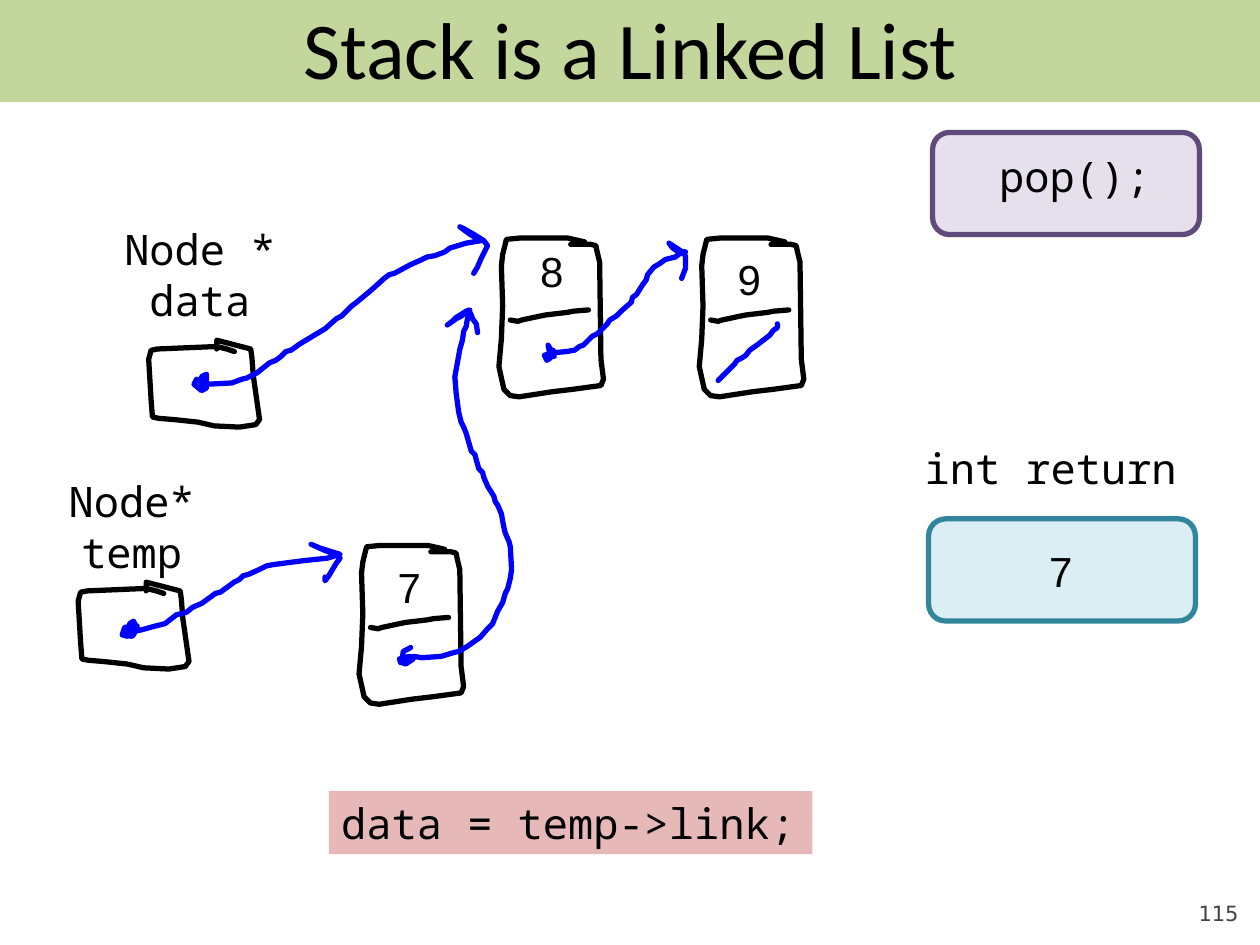
from pptx import Presentation
from pptx import util as u
from pptx.dml.color import RGBColor
from pptx.enum import shapes, text
from lxml import etree

COLOURS = {
    "ink": "000000", "pointer": "0000FF", "number": "424242", "band": "C3D69B",
    "call": "E6E0EC", "call_edge": "604A7B", "result": "DBEEF4",
    "result_edge": "31859C", "code": "E6B9B8",
}
MONO, SANS = "Noto Sans Mono", "Arial"
UNIT = u.Cm(2.54) / 100  # one pen step: strokes are given in these

# Strokes that repeat, measured from the top left corner of their figure
POINTER_BOX = [
    (68, 9), (62, 7), (54, 5), (7, 7), (2, 8), (0, 15), (2, 48), (3, 61), (8, 62),
    (20, 63), (39, 65), (52, 68), (72, 69), (85, 67), (88, 63), (83, 28), (82, 14),
    (81, 7), (54, 0), (54, 7)]
NODE = [
    (68, 3), (55, 0), (16, 0), (6, 1), (3, 13), (2, 22), (3, 54), (2, 80), (0, 102),
    (4, 120), (9, 125), (16, 126), (42, 122), (59, 120), (81, 117), (83, 112),
    (81, 96), (80, 19), (78, 11), (77, 6), (73, 5), (57, 5)]
DIVIDER = [
    (9, 65), (15, 66), (18, 65), (32, 62), (37, 61), (54, 59), (59, 58), (71, 57)]

# Strokes that occur once, measured from the slide corner
NULL_MARK = [
    (570, 302), (579, 293), (583, 289), (585, 286), (589, 284), (592, 282),
    (595, 278), (602, 273), (611, 266), (614, 262), (617, 260), (617, 257)]
EIGHT_TO_NINE = [
    (439, 280), (432, 282), (434, 286), (437, 284), (439, 278), (436, 282), (440, 283),
    (435, 274), (436, 279), (440, 280), (450, 279), (456, 278), (460, 275), (463, 274),
    (470, 267), (474, 265), (482, 257), (484, 254), (489, 251), (493, 247), (501, 240),
    (502, 236), (505, 234), (510, 226), (513, 222), (514, 218), (519, 212), (524, 209),
    (528, 206), (536, 204), (540, 201), (544, 200), (537, 199), (534, 197), (531, 193),
    (540, 199), (544, 203), (544, 213), (541, 221)]
SEVEN_TO_EIGHT = [
    (326, 514), (320, 517), (319, 526), (322, 527), (328, 523), (325, 521), (317, 523),
    (318, 526), (322, 525), (328, 521), (335, 522), (350, 521), (360, 518), (364, 517),
    (371, 513), (378, 508), (381, 506), (387, 499), (391, 495), (395, 485), (399, 478),
    (401, 471), (403, 467), (405, 459), (406, 452), (405, 434), (404, 430), (401, 423),
    (400, 419), (399, 414), (398, 408), (395, 401), (393, 398), (392, 394), (387, 386),
    (384, 379), (383, 375), (380, 372), (378, 365), (377, 361), (374, 358), (372, 351),
    (370, 344), (368, 339), (366, 335), (364, 327), (362, 312), (361, 299), (365, 277),
    (367, 270), (368, 263), (370, 259), (371, 253), (373, 246), (370, 247), (362, 252),
    (359, 255), (355, 258), (362, 253), (366, 251), (372, 246), (374, 250), (375, 253),
    (378, 257), (379, 264)]
TEMP_TO_SEVEN = [
    (105, 497), (99, 498), (97, 504), (105, 505), (109, 499), (106, 493), (103, 495),
    (100, 505), (106, 504), (109, 497), (105, 495), (103, 502), (112, 500), (123, 497),
    (131, 495), (140, 488), (148, 486), (153, 482), (160, 479), (167, 474), (171, 471),
    (175, 470), (186, 462), (190, 460), (193, 457), (197, 456), (206, 452), (212, 449),
    (218, 448), (241, 445), (260, 443), (270, 440), (254, 435), (247, 432), (258, 437),
    (266, 440), (270, 443), (267, 447), (261, 457), (258, 461), (258, 458)]
DATA_TO_EIGHT = [
    (162, 305), (156, 301), (154, 305), (160, 310), (164, 308), (164, 297), (160, 299),
    (160, 306), (164, 305), (184, 304), (192, 301), (196, 300), (204, 296), (214, 288),
    (219, 286), (223, 283), (227, 279), (231, 278), (238, 273), (248, 267), (258, 261),
    (267, 253), (271, 251), (279, 243), (283, 240), (295, 230), (305, 221), (309, 218),
    (313, 217), (326, 210), (335, 206), (339, 204), (345, 203), (353, 200), (357, 197),
    (370, 193), (382, 191), (373, 186), (365, 180), (369, 182), (376, 186), (384, 191),
    (387, 195), (382, 205), (379, 212), (376, 217)]


def colour(name):
    return RGBColor.from_string(COLOURS[name])


class StackSlide:
    def __init__(self, presentation):
        self.slide = presentation.slides.add_slide(presentation.slide_layouts[5])
        self.shapes = self.slide.shapes

    def add_lines(self, frame, lines, size, font, ink="ink", align="CENTER"):
        for index, line in enumerate(lines):
            paragraph = frame.add_paragraph() if index else frame.paragraphs[0]
            paragraph.alignment = getattr(text.PP_ALIGN, align)
            run = paragraph.add_run()
            run.text = line
            run.font.size, run.font.name = u.Pt(size), font
            run.font.color.rgb = colour(ink)

    def title(self, line):
        title = self.shapes.title
        title.left, title.top = u.Cm(1.27), u.Cm(0)
        title.width, title.height = u.Cm(22.86), u.Cm(1.9)
        title.text_frame.vertical_anchor = text.MSO_ANCHOR.MIDDLE
        self.add_lines(title.text_frame, [line], 46, "Calibri")
        band = self.box(0, 0, 25.4, 2.06, "band")
        band.adjustments[0] = 0
        title.element.addprevious(band.element)

    def box(self, left, top, width, height, fill, edge=None):
        box = self.shapes.add_shape(
            shapes.MSO_SHAPE.ROUNDED_RECTANGLE, *map(u.Cm, (left, top, width, height)))
        box.shadow.inherit = False
        box.fill.solid()
        box.fill.fore_color.rgb = colour(fill)
        if edge:
            box.line.color.rgb = colour(edge)
            box.line.width = u.Pt(3)
        else:
            box.line.fill.background()
        return box

    def label(self, left, top, width, height, *lines, font=MONO, align="CENTER", fill=None):
        label = self.shapes.add_textbox(*map(u.Cm, (left, top, width, height)))
        label.text_frame.word_wrap = False
        if fill:
            label.fill.solid()
            label.fill.fore_color.rgb = colour(fill)
        self.add_lines(label.text_frame, lines, 24, font, align=align)

    def digit(self, left, top, value):
        self.label(left, top, 0.99, 1.27, value, font=SANS, align="RIGHT")

    def stroke(self, points, ink="pointer", origin=(0, 0)):
        """Draw an open pen line with round ends and joins."""
        builder = self.shapes.build_freeform(*points[0], scale=UNIT)
        builder.add_line_segments(points[1:], close=False)
        stroke = builder.convert_to_shape(*(round(n * UNIT) for n in origin))
        stroke.shadow.inherit = False
        stroke.fill.background()
        stroke.line.color.rgb = colour(ink)
        stroke.line.width = u.Pt(3)
        line = stroke.element.spPr.get_or_add_ln()
        line.set("cap", "rnd")
        etree.SubElement(line, line.tag.replace("}ln", "}round"))

    def node(self, *origin):
        for part in (NODE, DIVIDER):
            self.stroke(part, "ink", origin)

    def page_number(self, number):
        box = self.shapes.add_textbox(*map(u.Cm, (22.86, 17.65, 2.11, 1.02)))
        frame = box.text_frame
        frame.word_wrap = True
        frame.vertical_anchor = text.MSO_ANCHOR.BOTTOM
        frame.margin_left = frame.margin_right = frame.margin_top = frame.margin_bottom = 0
        self.add_lines(frame, [number], 12, "DejaVu Sans", "number", "RIGHT")


def main():
    presentation = Presentation()
    presentation.slide_width, presentation.slide_height = u.Cm(25.4), u.Cm(19.05)
    stack = StackSlide(presentation)
    stack.title("Stack is a Linked List")
    stack.page_number("115")

    for origin in ((118, 270), (62, 462)):
        stack.stroke(POINTER_BOX, "ink", origin)
    for origin in ((396, 189), (555, 189), (285, 433)):
        stack.node(*origin)
    stack.label(2.24, 4.39, 3.58, 2.31, "Node *", "data")
    stack.label(1.12, 9.47, 3.07, 2.31, "Node*", "temp")

    stack.box(18.8, 2.67, 5.38, 2.06, "call", "call_edge")
    stack.label(19.86, 2.9, 3.58, 1.27, "pop();", align="RIGHT")
    stack.box(18.72, 10.46, 5.38, 2.06, "result", "result_edge")
    stack.label(18.36, 8.79, 5.64, 1.3, "int return")
    for left, top, value in (
            (10.62, 4.83, "8"), (14.6, 4.98, "9"), (7.75, 11.2, "7"), (20.88, 10.87, "7")):
        stack.digit(left, top, value)

    for pointer in (EIGHT_TO_NINE, NULL_MARK, SEVEN_TO_EIGHT, TEMP_TO_SEVEN, DATA_TO_EIGHT):
        stack.stroke(pointer)
    stack.label(6.63, 15.95, 9.75, 1.27, "data = temp->link;", align="LEFT", fill="code")
    presentation.save("out.pptx")


if __name__ == "__main__":
    main()
